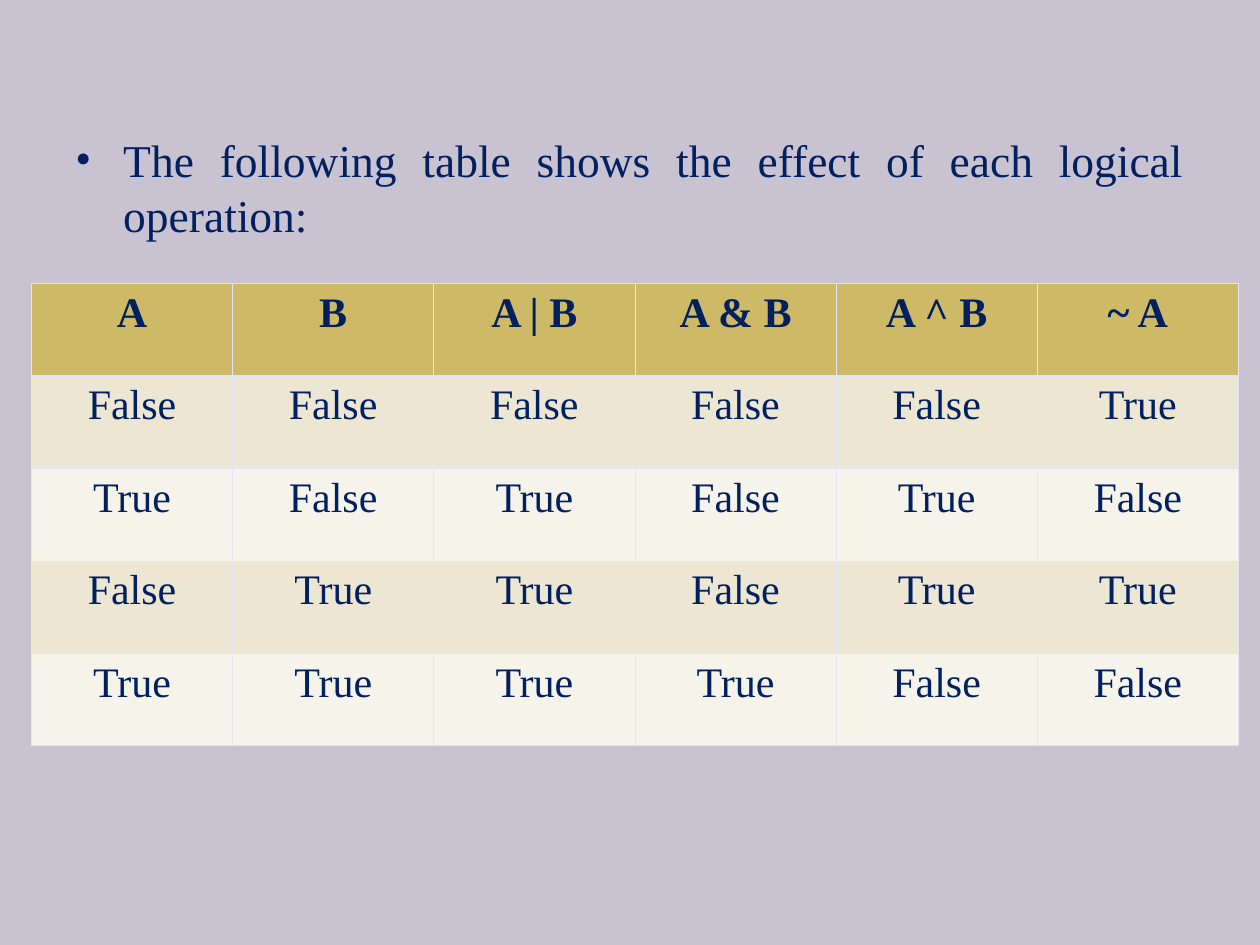
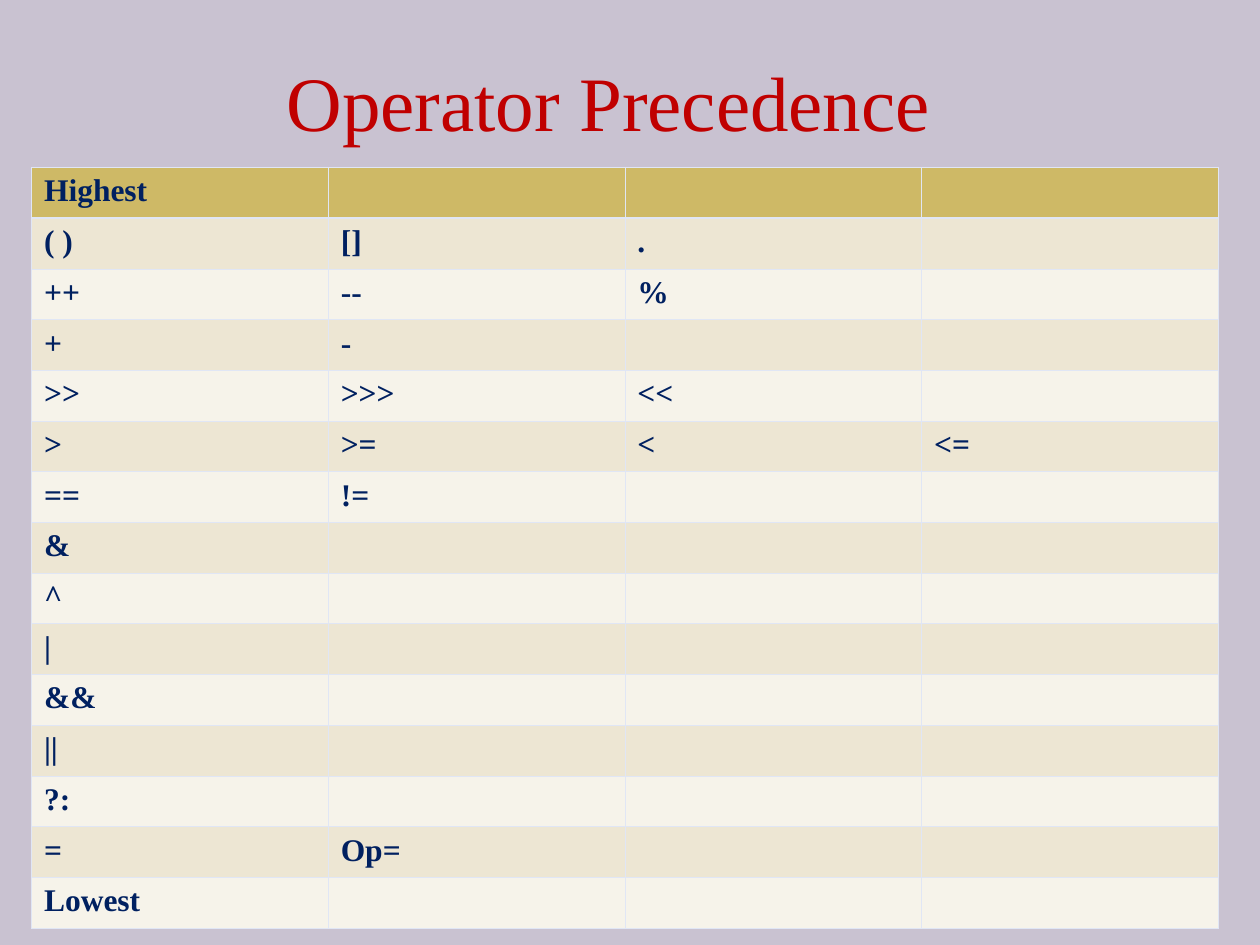
import lxml.etree
import pptx
import pptx.dml.color
import pptx.enum.text
import pptx.oxml.ns
import pptx.util

Inches = pptx.util.Inches
Pt = pptx.util.Pt
ALIGN = pptx.enum.text.PP_ALIGN
ANCHOR = pptx.enum.text.MSO_ANCHOR
qn = pptx.oxml.ns.qn

FONT = "Times New Roman"
BACKGROUND, NAVY, RED = "C9C2D1", "002060", "C00000"
HEADER, BAND_DARK, BAND_LIGHT = "CEB966", "EDE6D3", "F6F3EA"
BORDER = "E0E6F5"
THIN, THICK = 0.45, 1.47

TRUTH_ROWS = [
    ["A", "B", "A | B", "A & B", "A ^ B", "~ A"],
    ["False", "False", "False", "False", "False", "True"],
    ["True", "False", "True", "False", "True", "False"],
    ["False", "True", "True", "False", "True", "True"],
    ["True", "True", "True", "True", "False", "False"],
]
PRECEDENCE_ROWS = [
    ["Highest"], ["( )", "[]", "."], ["++", "--", "%"], ["+", "-"],
    [">>", ">>>", "<<"], [">", ">=", "<", "<="], ["==", "!="], ["&"], ["^"],
    ["|"], ["&&"], ["||"], ["?:"], ["=", "Op="], ["Lowest"],
]


def rgb(value):
    """Turn a hex string into a colour."""
    return pptx.dml.color.RGBColor.from_string(value)


def add_element(parent, tag, **attributes):
    """Append a DrawingML element to its parent."""
    return lxml.etree.SubElement(parent, qn(tag), **attributes)


def write(frame, text, size=18, color=NAVY, bold=False, align=ALIGN.LEFT, bullet=None):
    """Write one formatted paragraph into a text frame."""
    paragraph = frame.paragraphs[0]
    paragraph.alignment = align
    if bullet:
        properties = paragraph._p.get_or_add_pPr()
        hanging = Inches(0.38)
        properties.set("marL", str(hanging))
        properties.set("indent", str(-hanging))
        bullet_color = add_element(properties, "a:buClr")
        add_element(bullet_color, "a:srgbClr", val=color)
        add_element(properties, "a:buFont", typeface=FONT)
        add_element(properties, "a:buChar", char=bullet)
    if text:
        run = paragraph.add_run()
        run.text = text
        run.font.name = FONT
        run.font.size = Pt(size)
        run.font.bold = bold
        run.font.color.rgb = rgb(color)
    else:
        ending = add_element(paragraph._p, "a:endParaRPr", sz=str(size * 100))
        add_element(ending, "a:latin", typeface=FONT)


def add_text(slide, box, text, anchor=ANCHOR.TOP, **style):
    """Place a wrapped text box on the slide."""
    frame = slide.shapes.add_textbox(*map(Inches, box)).text_frame
    frame.word_wrap = True
    frame.vertical_anchor = anchor
    write(frame, text, **style)


def draw_borders(cell, top, bottom):
    """Outline a cell with the given top and bottom widths."""
    properties = cell._tc.get_or_add_tcPr()
    widths = {"a:lnL": THIN, "a:lnR": THIN, "a:lnT": top, "a:lnB": bottom}
    for side, width in widths.items():
        line = add_element(properties, side, w=str(Pt(width)))
        add_element(add_element(line, "a:solidFill"), "a:srgbClr", val=BORDER)


def add_banded_table(slide, box, rows, columns, size, body_bold, align):
    """Place a table with a gold header and alternating bands."""
    table = slide.shapes.add_table(len(rows), columns, *map(Inches, box)).table
    table.horz_banding = False
    for row, labels in enumerate(rows):
        fill = HEADER if row == 0 else BAND_DARK if row % 2 else BAND_LIGHT
        for column in range(columns):
            cell = table.cell(row, column)
            draw_borders(cell, THICK if row == 1 else THIN, THICK if row == 0 else THIN)
            cell.fill.solid()
            cell.fill.fore_color.rgb = rgb(fill)
            label = labels[column] if column < len(labels) else ""
            write(cell.text_frame, label, size=size, bold=row == 0 or body_bold, align=align)


def add_slide(deck):
    """Add a blank slide with the shared background."""
    slide = deck.slides.add_slide(deck.slide_layouts[6])
    slide.background.fill.solid()
    slide.background.fill.fore_color.rgb = rgb(BACKGROUND)
    return slide


def build_truth_table(deck):
    """Build the slide on the effect of logical operations."""
    slide = add_slide(deck)
    add_text(slide, (0.5, 1, 9, 3.42),
             "The following table shows the effect of each logical operation:",
             size=26, align=ALIGN.JUSTIFY, bullet="•")
    add_banded_table(slide, (0.25, 2.25, 9.58, 3.67), TRUTH_ROWS, 6,
                     size=24, body_bold=False, align=ALIGN.CENTER)


def build_precedence(deck):
    """Build the slide on operator precedence."""
    slide = add_slide(deck)
    add_text(slide, (0.33, 0.17, 9, 1.25), "Operator Precedence",
             anchor=ANCHOR.MIDDLE, size=44, color=RED, align=ALIGN.CENTER)
    add_banded_table(slide, (0.25, 1.33, 9.42, 6.04), PRECEDENCE_ROWS, 4,
                     size=18, body_bold=True, align=ALIGN.LEFT)


def main():
    """Build and save the deck."""
    deck = pptx.Presentation()
    deck.slide_width, deck.slide_height = Inches(10), Inches(7.5)
    build_truth_table(deck)
    build_precedence(deck)
    deck.save("out.pptx")


if __name__ == "__main__":
    main()
